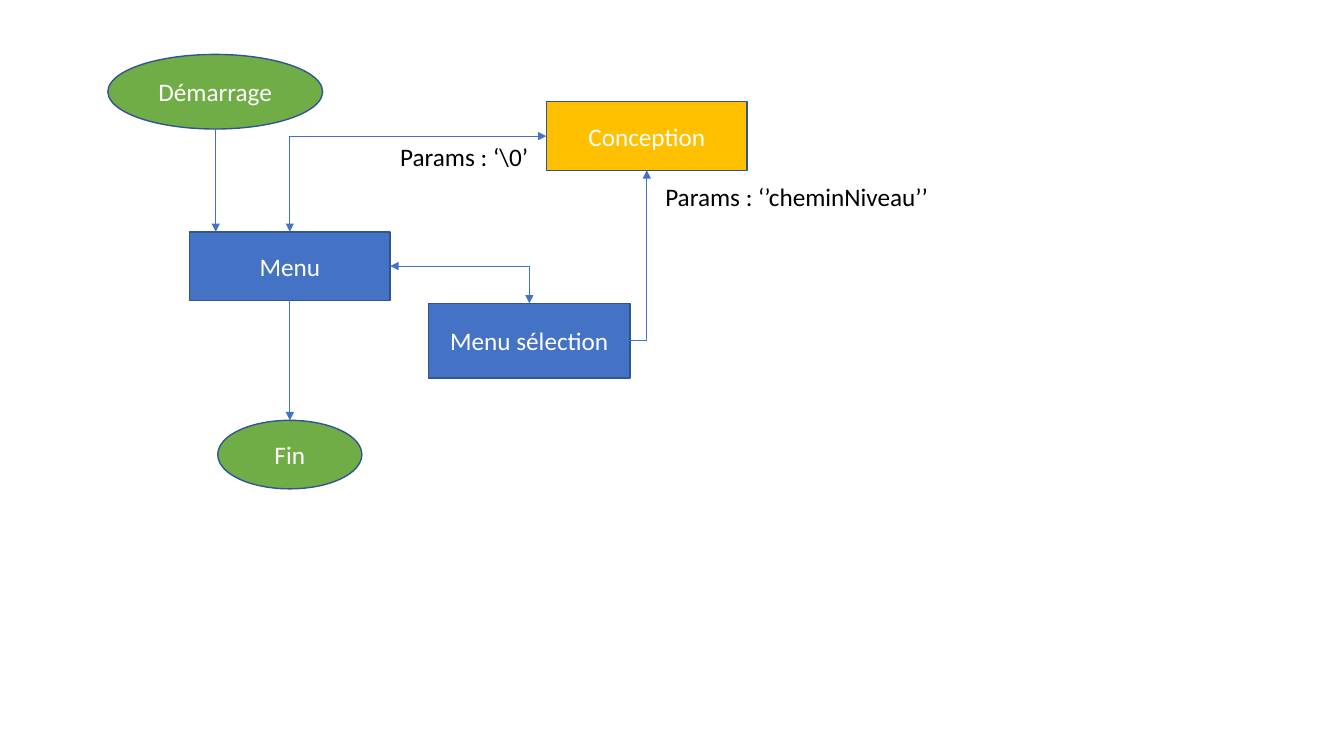
from pptx import Presentation
from pptx.dml.color import RGBColor
from pptx.enum.shapes import MSO_CONNECTOR as LINK, MSO_SHAPE as SHAPE
from pptx.enum.text import MSO_ANCHOR, MSO_AUTO_SIZE, PP_ALIGN
from pptx.oxml.ns import qn
from pptx.util import Inches, Pt
from lxml import etree

BLUE = RGBColor(0x44, 0x72, 0xC4)
NAVY = RGBColor(0x32, 0x54, 0x91)
GREEN = RGBColor(0x70, 0xAD, 0x47)
GOLD = RGBColor(0xFF, 0xC0, 0x00)
WHITE = RGBColor(0xFF, 0xFF, 0xFF)
BLACK = RGBColor(0x00, 0x00, 0x00)
TOP, LEFT, BOTTOM, RIGHT = range(4)


def write(shape, text, color):
    para = shape.text_frame.paragraphs[0]
    para.text = text
    para.font.name = "Calibri"
    para.font.size = Pt(18)
    para.font.color.rgb = color
    return para


def add_arrow(kind, start, end, ends):
    arrow = page.shapes.add_connector(kind, *[Inches(value) for value in start + end])
    arrow.line.color.rgb = BLUE
    arrow.line.width = Pt(0.5)
    properties = arrow._element.spPr
    for name in ends:
        etree.SubElement(properties.find(qn("a:ln")), qn(name), type="triangle")
    etree.SubElement(properties, qn("a:effectLst"))
    if kind == LINK.ELBOW:
        properties.find(qn("a:prstGeom")).set("prst", "bentConnector2")
    return arrow


deck = Presentation()
deck.slide_width = Inches(13.33)
deck.slide_height = Inches(7.5)
page = deck.slides.add_slide(deck.slide_layouts[6])

steps = {}
for name, kind, fill, left, top, width, height in [
    ("Démarrage", SHAPE.OVAL, GREEN, 1.07, 0.54, 2.13, 0.74),
    ("Menu", SHAPE.RECTANGLE, BLUE, 1.88, 2.3, 1.99, 0.68),
    ("Menu sélection", SHAPE.RECTANGLE, BLUE, 4.25, 3.01, 2, 0.74),
    ("Conception", SHAPE.RECTANGLE, GOLD, 5.42, 1.01, 1.99, 0.68),
    ("Fin", SHAPE.OVAL, GREEN, 2.16, 4.17, 1.43, 0.68),
]:
    box = page.shapes.add_shape(kind, Inches(left), Inches(top), Inches(width), Inches(height))
    box.shadow.inherit = False
    box.fill.solid()
    box.fill.fore_color.rgb = fill
    box.line.color.rgb = NAVY
    box.line.width = Pt(1)
    box.text_frame.vertical_anchor = MSO_ANCHOR.MIDDLE
    write(box, name, WHITE).alignment = PP_ALIGN.CENTER
    steps[name] = box

one_way = ["a:tailEnd"]
two_way = ["a:headEnd", "a:tailEnd"]
add_arrow(LINK.STRAIGHT, (2.14, 1.28), (2.14, 2.3), one_way)
for kind, source, source_side, target, target_side, start, end, ends in [
    (LINK.STRAIGHT, "Menu", BOTTOM, "Fin", TOP, (2.88, 2.98), (2.88, 4.17), one_way),
    (LINK.ELBOW, "Menu sélection", RIGHT, "Conception", BOTTOM, (6.25, 3.38), (6.41, 1.69), one_way),
    (LINK.ELBOW, "Conception", LEFT, "Menu", TOP, (5.42, 1.35), (2.88, 2.3), two_way),
    (LINK.ELBOW, "Menu", RIGHT, "Menu sélection", TOP, (3.87, 2.64), (5.25, 3.01), two_way),
]:
    arrow = add_arrow(kind, start, end, ends)
    arrow.begin_connect(steps[source], source_side)
    arrow.end_connect(steps[target], target_side)

for text, left, top, width, wraps in [
    ("Params : ‘’cheminNiveau’’", 6.5, 1.75, 2.83, False),
    ("Params : ‘\\0’", 3.87, 1.35, 6.67, True),
]:
    label = page.shapes.add_textbox(Inches(left), Inches(top), Inches(width), Inches(0.4))
    label.text_frame.word_wrap = wraps
    label.text_frame.auto_size = MSO_AUTO_SIZE.SHAPE_TO_FIT_TEXT
    write(label, text, BLACK)

deck.save("out.pptx")
